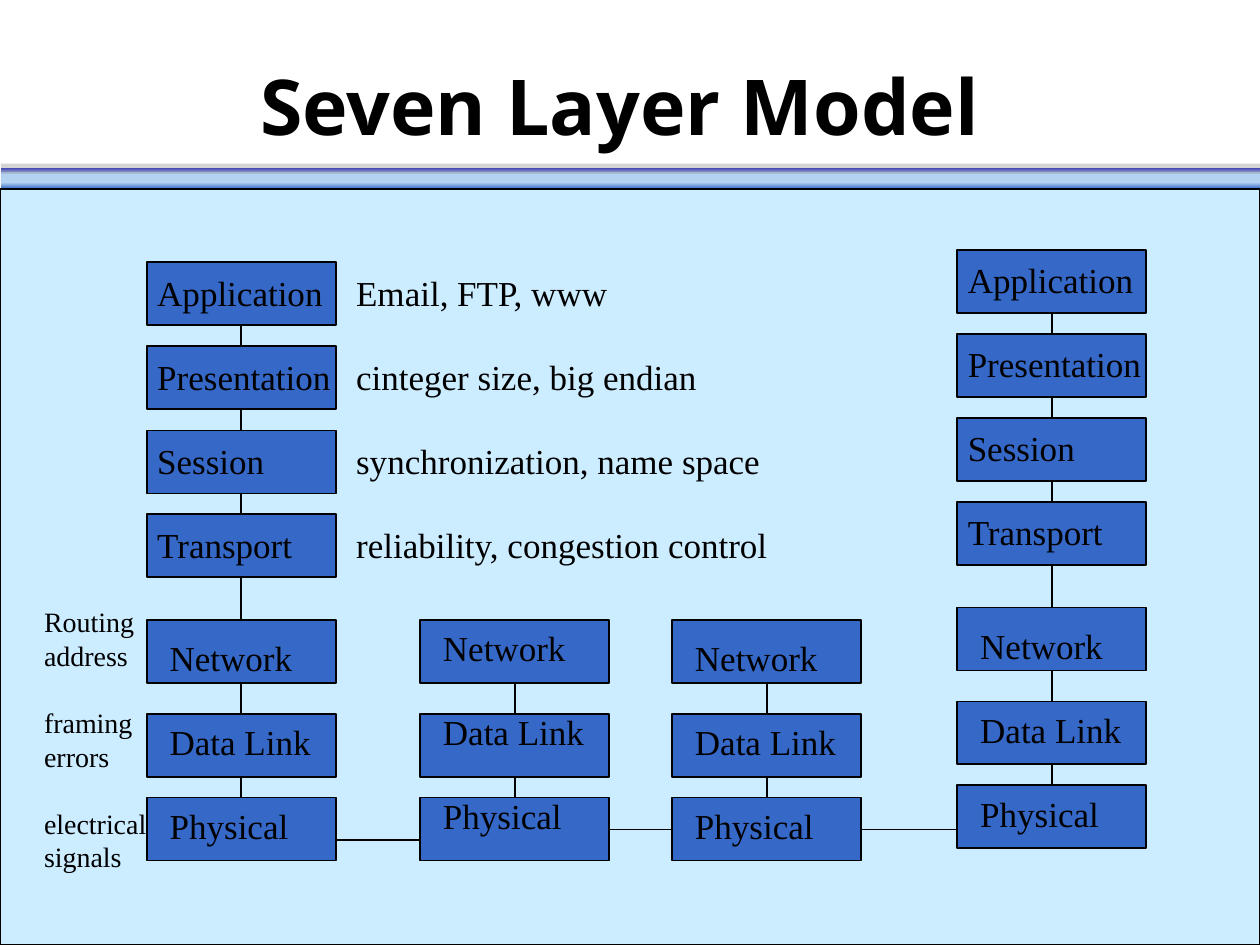
import dataclasses
import itertools

import lxml.etree
import pptx
import pptx.dml.color
import pptx.enum.shapes
import pptx.enum.text
import pptx.oxml.ns
import pptx.util

Cm = pptx.util.Cm
Pt = pptx.util.Pt
RECT = pptx.enum.shapes.MSO_SHAPE.RECTANGLE
WIRE = pptx.enum.shapes.MSO_CONNECTOR.STRAIGHT
ANCHOR = pptx.enum.text.MSO_ANCHOR
ALIGN = pptx.enum.text.PP_ALIGN
FIT = pptx.enum.text.MSO_AUTO_SIZE


@dataclasses.dataclass(frozen=True)
class Theme:
    ink: str = "000000"
    node: str = "3568C7"
    panel: str = "CCECFF"
    band: str = "B3D1F0"
    grey: str = "777777"
    navy: str = "1822CD"
    lilac: str = "878DE5"
    head: str = "Noto Sans"
    body: str = "Times New Roman"
    big: float = 44
    mid: float = 20
    small: float = 16
    lead: float = 1.2
    line: float = 1


THEME = Theme()
UPPER = ["Application", "Presentation", "Session", "Transport"]
LOWER = ["Network", "Data Link", "Physical"]
ROWS = [0, 1.69, 3.39, 5.08, 7.21, 9.1, 10.79]
SPLIT = len(UPPER)
WIDE, HIGH = 3.81, 1.27
USES = ["Email, FTP, www", "cinteger size, big endian",
        "synchronization, name space", "reliability, congestion control"]
NOTES = [["Routing", "address"], ["framing", "errors"],
         ["electrical", "signals"]]


def put(item, form):
    for key, value in form.items():
        setattr(item, key, value)


def tint(code):
    return pptx.dml.color.RGBColor.from_string(code)


def style(font, name, size, bold=False):
    put(font, {"name": name, "size": Pt(size), "bold": bold})
    font.color.rgb = tint(THEME.ink)


def stroke(line):
    line.color.rgb = tint(THEME.ink)
    line.width = Pt(THEME.line)


def block(slide, box, fills, edge=False):
    shape = slide.shapes.add_shape(RECT, *map(Cm, box))
    shape.shadow.inherit = False
    if len(fills) == 1:
        shape.fill.solid()
        shape.fill.fore_color.rgb = tint(fills[0])
    else:
        shape.fill.gradient()
        shape.fill.gradient_angle = 270
        for stop, code in zip(shape.fill.gradient_stops, fills):
            stop.color.rgb = tint(code)
    if edge:
        stroke(shape.line)
    else:
        shape.line.fill.background()
    return shape


def link(slide, *ends):
    wire = slide.shapes.add_connector(WIRE, *map(Cm, ends))
    stroke(wire.line)
    lxml.etree.SubElement(wire._element.spPr,
                          pptx.oxml.ns.qn("a:effectLst"))


def words(slide, box, groups, size):
    frame = slide.shapes.add_textbox(*map(Cm, box)).text_frame
    put(frame, {"word_wrap": False, "auto_size": FIT.SHAPE_TO_FIT_TEXT,
                "vertical_anchor": ANCHOR.TOP})
    pitch = Pt(size * THEME.lead)
    para = None
    for group in groups:
        for rank, line in enumerate(group):
            first = para is None
            para = frame.paragraphs[0] if first else frame.add_paragraph()
            gap = Pt(0) if first or rank else pitch
            put(para, {"line_spacing": pitch, "space_before": gap,
                       "alignment": ALIGN.LEFT})
            run = para.add_run()
            run.text = line
            style(run.font, THEME.body, size)


def single(lines):
    return [[line] for line in lines]


def title(slide, box):
    shape = slide.shapes.title
    put(shape, dict(zip(("left", "top", "width", "height"), map(Cm, box))))
    frame = shape.text_frame
    put(frame, {"text": "Seven Layer Model", "word_wrap": True,
                "vertical_anchor": ANCHOR.MIDDLE})
    para = frame.paragraphs[0]
    para.alignment = ALIGN.CENTER
    style(para.runs[0].font, THEME.head, THEME.big, True)


def bands(slide, box):
    left, top, width, _ = box
    strips = [(0.15, 0.25, [THEME.band]),
              (0.08, 0.08, [THEME.navy, THEME.lilac]),
              (0.38, 0.13, [THEME.band, THEME.node]),
              (0, 0.2, [THEME.grey])]
    for down, tall, fills in strips:
        strip = block(slide, (left, top + down, width, tall), fills)
    color = strip._element.spPr.find(".//" + pptx.oxml.ns.qn("a:srgbClr"))
    lxml.etree.SubElement(color, pptx.oxml.ns.qn("a:alpha"), val="31000")


def stack(slide, left, top, rows, drop):
    mid = left + WIDE / 2
    for down in rows:
        block(slide, (left, top + down, WIDE, HIGH), [THEME.node], True)
    for above, below in itertools.pairwise(rows):
        link(slide, mid, top + above + HIGH, mid, top + below)
    if len(rows) > len(LOWER):
        words(slide, (left - 0.04, top + 0.05, 4.01, 6.2),
              single(UPPER), THEME.mid)
    words(slide, (left + 0.21, top + ROWS[SPLIT] + drop, 3.35, 5.33),
          single(LOWER), THEME.mid)


def model(slide, box):
    block(slide, box, [THEME.panel], True)
    left, top = box[0], box[1] + 1.48
    stacks = [(2.96, 0, ROWS, 0.21), (8.47, 0, ROWS[SPLIT:], 0),
              (13.55, 0, ROWS[SPLIT:], 0.21), (19.3, -0.25, ROWS, 0.21)]
    for side, lift, rows, drop in stacks:
        stack(slide, left + side, top + lift, rows, drop)
    sides = [left + item[0] for item in stacks]
    for (start, end), down in zip(itertools.pairwise(sides),
                                  [0.85, 0.64, 0.64]):
        level = top + ROWS[-1] + down
        link(slide, start + WIDE, level, end, level)
    words(slide, (left + 6.93, top + 0.05, 8.84, 6.2),
          single(USES), THEME.mid)
    words(slide, (left + 0.64, top + 6.78, 2.57, 5.69), NOTES, THEME.small)


def main():
    deck = pptx.Presentation()
    put(deck, {"slide_width": Cm(25.4), "slide_height": Cm(19.05)})
    slide = deck.slides.add_slide(deck.slide_layouts[5])
    title(slide, (1.7, 1.06, 21.59, 2.12))
    bands(slide, (0.02, 3.3, 25.38, 0.51))
    model(slide, (0, 3.81, 25.4, 15.24))
    deck.save("out.pptx")


if __name__ == "__main__":
    main()
